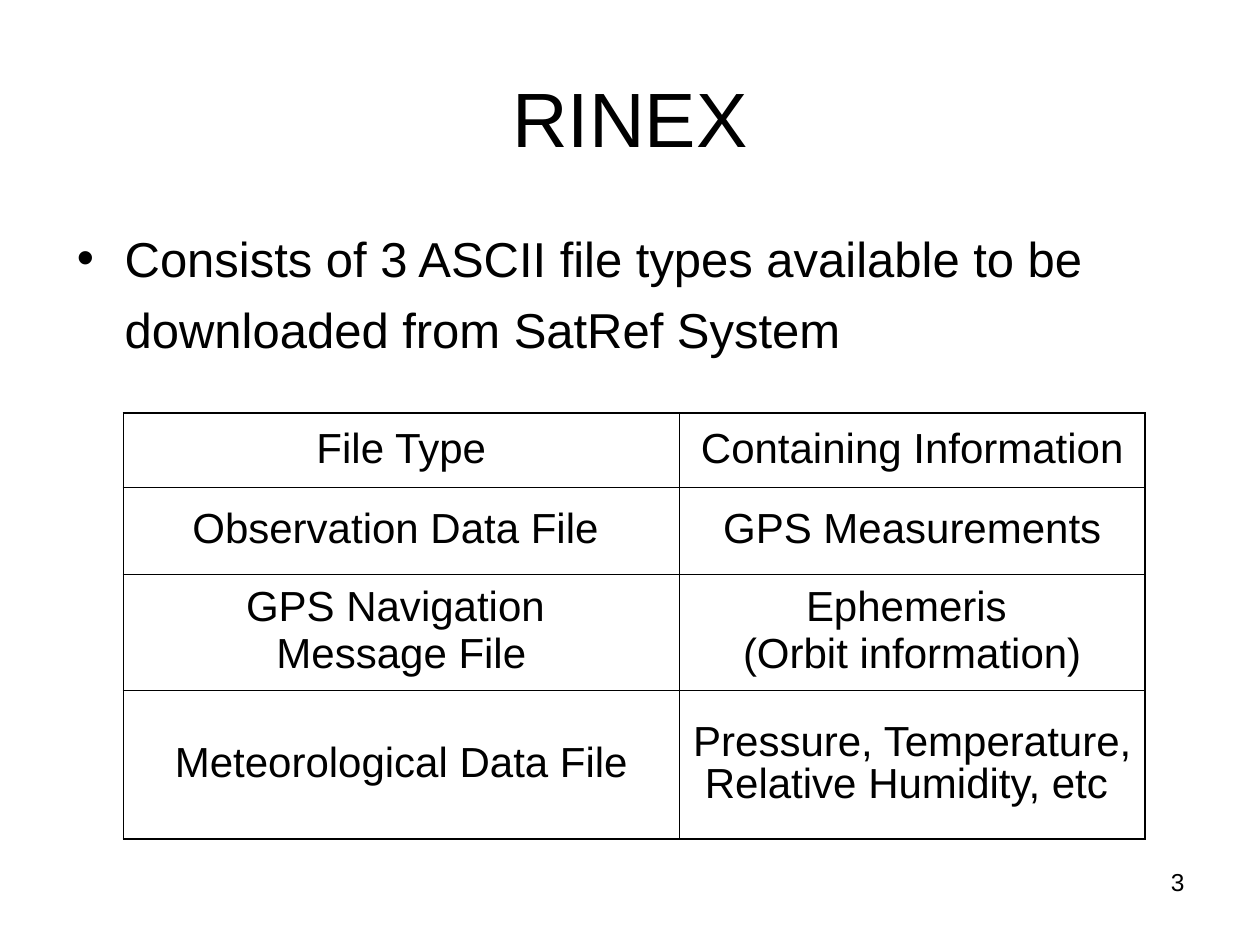
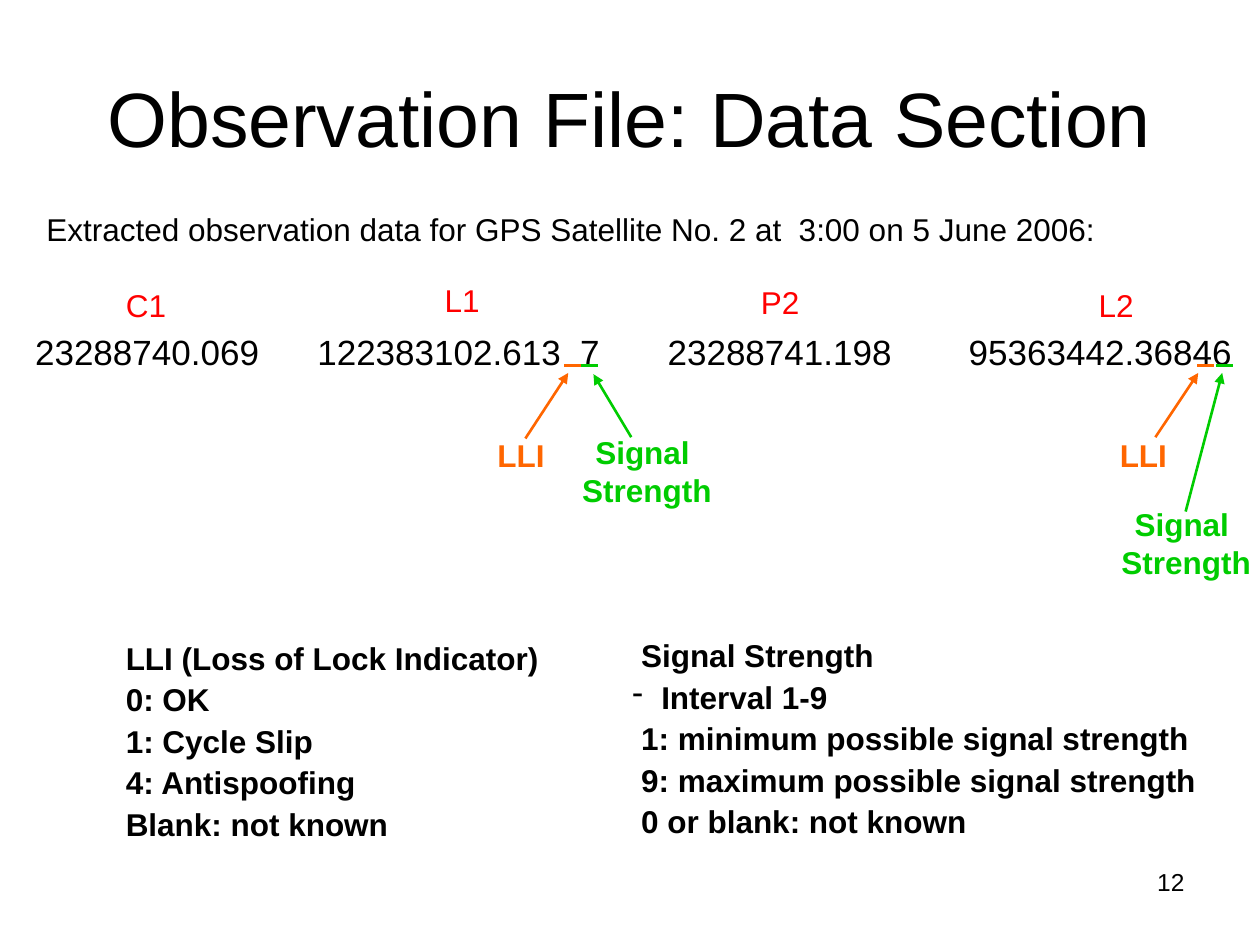
from lxml import etree
from pptx import Presentation
from pptx.dml.color import RGBColor
from pptx.enum.shapes import MSO_CONNECTOR
from pptx.enum.text import MSO_ANCHOR, MSO_AUTO_SIZE, PP_ALIGN
from pptx.oxml.ns import qn
from pptx.util import Inches, Pt

BLACK = RGBColor(0x00, 0x00, 0x00)
RED = RGBColor(0xFF, 0x00, 0x00)
ORANGE = RGBColor(0xFF, 0x66, 0x00)
GREEN = RGBColor(0x00, 0xCC, 0x00)
FONT = "Arial"
LEFT, CENTER, RIGHT = PP_ALIGN.LEFT, PP_ALIGN.CENTER, PP_ALIGN.RIGHT
MIDDLE = MSO_ANCHOR.MIDDLE
NO_AUTOFIT = MSO_AUTO_SIZE.NONE
STRAIGHT = MSO_CONNECTOR.STRAIGHT

deck = Presentation()
deck.slide_width, deck.slide_height = Inches(10), Inches(7.5)
COLUMN = deck.slide_width / 20
ROW = deck.slide_height / 15


def write_text(box, text, area, size, color=BLACK, bold=False, align=LEFT):
    left, top, width, height = area
    box.left, box.width = int(left * COLUMN), int(width * COLUMN)
    box.top, box.height = int(top * ROW), int(height * ROW)
    frame = box.text_frame
    frame.text = text
    frame.word_wrap = True
    frame.auto_size = NO_AUTOFIT
    frame.margin_left = Inches(0.1 if align == LEFT else 0)
    frame.margin_right = Inches(0.1 if align == RIGHT else 0)
    for para in frame.paragraphs:
        para.alignment = align
        for span in para.runs:
            span.font.name, span.font.size = FONT, Pt(size)
            span.font.bold, span.font.color.rgb = bold, color
    return frame


def draw_line(page, start, end, color, weight):
    line = page.shapes.add_connector(
        STRAIGHT, int(start[0] * COLUMN), int(start[1] * ROW),
        int(end[0] * COLUMN), int(end[1] * ROW))
    line.line.color.rgb, line.line.width = color, Pt(weight)
    etree.SubElement(line._element.spPr, qn("a:effectLst"))
    return line


pages = []
for layout, title, number in ((1, "RINEX", "3"), (5, "Observation File: Data Section", "12")):
    page = deck.slides.add_slide(deck.slide_layouts[layout])
    frame = write_text(page.shapes.title, title, (1, 0.6, 18, 2.5), 44, align=CENTER)
    frame.vertical_anchor = MIDDLE
    write_text(page.shapes.add_textbox(0, 0, 0, 0), number, (14.34, 13.66, 4.66, 1.04), 14, align=RIGHT)
    pages.append(page)
files_page, data_page = pages

frame = write_text(files_page.placeholders[1],
                   "Consists of 3 ASCII file types available to be downloaded from SatRef System",
                   (1.02, 3.24, 17.82, 9.9), 28)
frame.margin_top = Inches(0.1)
para = frame.paragraphs[0]
para.line_spacing, para.space_before = 1.2, Pt(0)
properties = para._p.get_or_add_pPr()
properties.set("marL", str(Inches(0.38)))
properties.set("indent", str(-Inches(0.38)))
etree.SubElement(properties, qn("a:buChar"), char="•")

FILE_TYPES = (
    ("File Type", "Containing Information"),
    ("Observation Data File ", "GPS Measurements"),
    ("GPS Navigation \nMessage File", "Ephemeris \n(Orbit information)"),
    ("Meteorological Data File", "Pressure, Temperature, Relative Humidity, etc "),
)
COLUMN_WIDTHS = (8.82, 7.4)
ROW_HEIGHTS = (1.18, 1.38, 1.84, 2.36)
table = files_page.shapes.add_table(
    len(FILE_TYPES), len(COLUMN_WIDTHS), int(1.96 * COLUMN), int(6.56 * ROW),
    int(sum(COLUMN_WIDTHS) * COLUMN), int(sum(ROW_HEIGHTS) * ROW)).table
table.first_row = table.horz_banding = False
for column, width in zip(table.columns, COLUMN_WIDTHS):
    column.width = int(width * COLUMN)
for r, texts in enumerate(FILE_TYPES):
    table.rows[r].height = int(ROW_HEIGHTS[r] * ROW)
    for c, text in enumerate(texts):
        cell = table.cell(r, c)
        cell.text = text
        cell.vertical_anchor = MIDDLE
        outer_edges = {"lnL": c == 0, "lnR": c == len(texts) - 1,
                       "lnT": r == 0, "lnB": r == len(FILE_TYPES) - 1}
        for edge, is_outer in outer_edges.items():
            border = etree.SubElement(cell._tc.get_or_add_tcPr(), qn("a:" + edge),
                                      w=str(Pt(1.08 if is_outer else 0.45)))
            fill = etree.SubElement(border, qn("a:solidFill"))
            etree.SubElement(fill, qn("a:srgbClr"), val=str(BLACK))
        cell.fill.background()
        for position, para in enumerate(cell.text_frame.paragraphs):
            para.alignment, para.line_spacing = CENTER, 0.9
            para.space_before = Pt(3 if position else 0)
            font = para.runs[0].font
            font.name, font.size, font.color.rgb = FONT, Pt(24), BLACK

write_text(data_page.shapes.add_textbox(0, 0, 0, 0),
           "Extracted observation data for GPS Satellite No. 2 at  3:00 on 5 June 2006:",
           (0.54, 3.24, 17.04, 0.8), 18)
frame = write_text(data_page.shapes.add_textbox(0, 0, 0, 0),
                   "23288740.069\t122383102.613  7\t23288741.198\t95363442.36846",
                   (0.36, 5.14, 19.64, 0.88), 20)
tab_list = etree.SubElement(frame.paragraphs[0]._p.get_or_add_pPr(), qn("a:tabLst"))
for stop in (4.48, 10.04, 14.82):
    etree.SubElement(tab_list, qn("a:tab"), pos=str(int(stop * COLUMN)), algn="l")

for code, left, top in (("C1", 1.8, 4.44), ("L1", 6.86, 4.36), ("P2", 11.88, 4.4), ("L2", 17.24, 4.44)):
    write_text(data_page.shapes.add_textbox(0, 0, 0, 0), code, (left, top, 1.04, 0.8), 18, RED)

LLI = ("LLI", ORANGE, 1.14, 0.8)
STRENGTH = ("Signal \nStrength", GREEN, 2.46, 1.4)
FLAGS = (
    (LLI, 8.96, (8.34, 6.96), (9.02, 5.92), (7.7, 6.82)),
    (STRENGTH, 9.22, (10.02, 6.94), (9.42, 5.94), (9.04, 6.78)),
    (LLI, 19, (18.34, 6.94), (19.02, 5.92), (17.58, 6.82)),
    (STRENGTH, 19.3, (18.82, 8.12), (19.4, 5.92), (17.6, 7.92)),
)
for (label, color, width, height), underline, start, end, corner in FLAGS:
    draw_line(data_page, (underline, 5.8), (underline + 0.27, 5.8), color, 2)
    arrow = draw_line(data_page, start, end, color, 1.5)
    etree.SubElement(arrow.line._get_or_add_ln(), qn("a:tailEnd"), type="triangle")
    write_text(data_page.shapes.add_textbox(0, 0, 0, 0), label,
               (*corner, width, height), 18, color, True, CENTER)

LLI_NOTES = """LLI (Loss of Lock Indicator)
0: OK
1: Cycle Slip
4: Antispoofing
Blank: not known"""
STRENGTH_NOTES = """Signal Strength
Interval 1-9
1: minimum possible signal strength
9: maximum possible signal strength
0 or blank: not known"""
for notes, area in ((LLI_NOTES, (1.66, 9.98, 7.08, 4.1)), (STRENGTH_NOTES, (9.84, 9.94, 9.8, 3.5))):
    frame = write_text(data_page.shapes.add_textbox(0, 0, 0, 0), notes, area, 18, bold=True)
    for para in frame.paragraphs:
        para.line_spacing = 1.1
        properties = para._p.get_or_add_pPr()
        if para.text.startswith("Interval"):
            properties.set("marL", str(Inches(0.23)))
            properties.set("indent", str(-Inches(0.23)))
            etree.SubElement(properties, qn("a:buChar"), char="-")
        else:
            properties.set("marL", str(Inches(0.07)))

deck.save("out.pptx")
